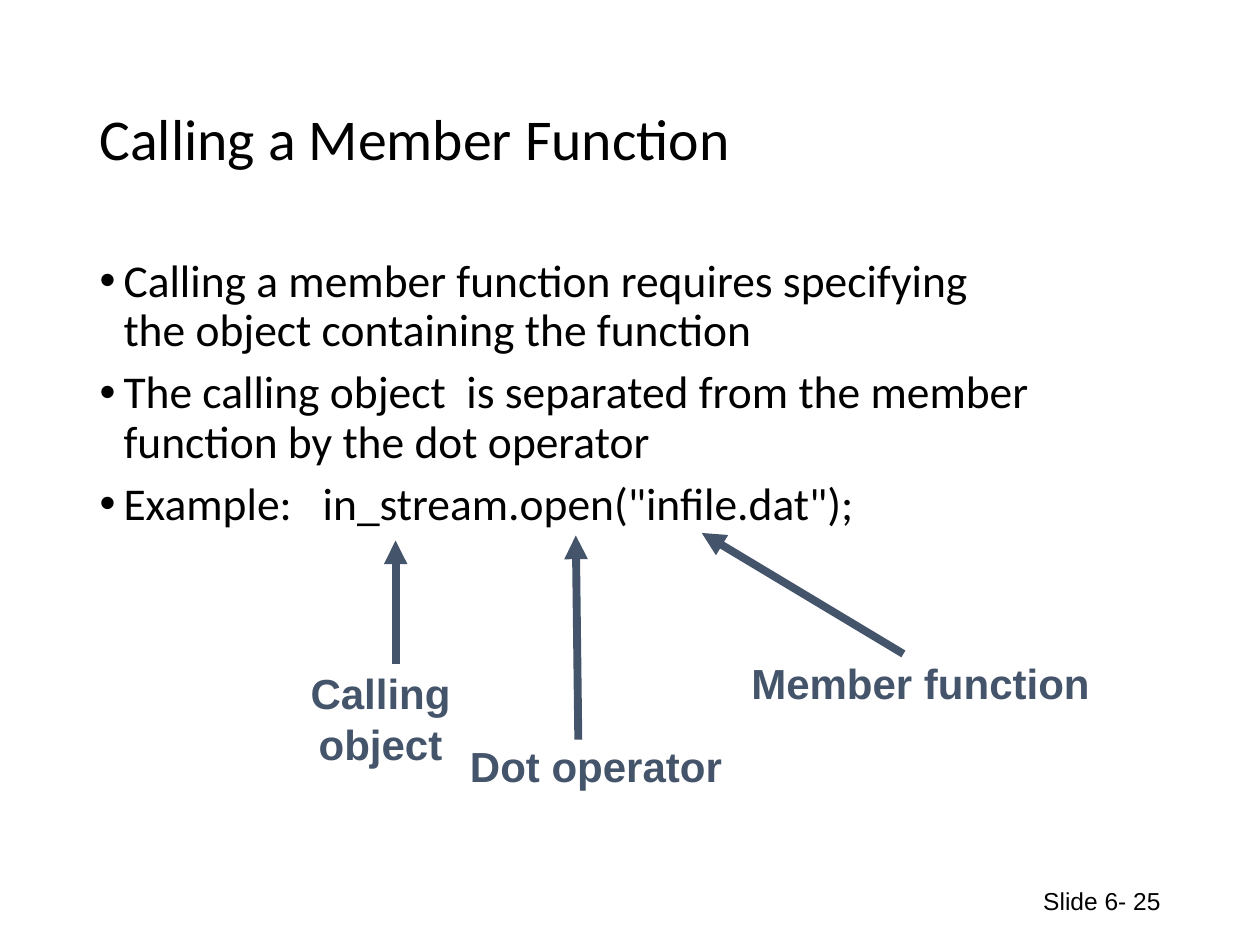
from pptx import Presentation
from pptx.dml.color import RGBColor
from pptx.enum.shapes import MSO_CONNECTOR
from pptx.enum.text import MSO_ANCHOR, MSO_AUTO_SIZE, PP_ALIGN
from pptx.oxml.ns import qn
from pptx.util import Inches, Pt
from lxml import etree

LEFT, CENTER, RIGHT = PP_ALIGN.LEFT, PP_ALIGN.CENTER, PP_ALIGN.RIGHT
MIDDLE, TOP = MSO_ANCHOR.MIDDLE, MSO_ANCHOR.TOP
NO_FIT, GROW = MSO_AUTO_SIZE.NONE, MSO_AUTO_SIZE.SHAPE_TO_FIT_TEXT
STRAIGHT = MSO_CONNECTOR.STRAIGHT

COLORS = {"text": "000000", "accent": "44546A"}
MARGIN, CONTENT_WIDTH = 0.69, 8.62
HANGING = 0.19

POINTS = [
    "Calling a member function requires specifying \vthe object containing the function",
    "The calling object  is separated from the member \vfunction by the dot operator",
    'Example:   in_stream.open("infile.dat");',
]

# label, box (left, top, width, height), arrow start, arrow tip
CALLOUTS = [
    ("Calling object", (1.83, 5.25, 2.38, 0.5), (3.14, 5.27), (3.14, 4.29)),
    ("Dot operator", (3.63, 5.83, 2.2, 0.5), (4.59, 5.87), (4.57, 4.25)),
    ("Member function", (5.86, 5.17, 2.89, 0.5), (7.17, 5.19), (5.57, 4.23)),
]


def inches(values):
    return [Inches(value) for value in values]


def place(shape, area):
    shape.left, shape.top, shape.width, shape.height = inches(area)


def format_text(para, font_name, size, color, align, bold=False):
    para.alignment = align
    for span in para.runs:
        span.font.name = font_name
        span.font.size = Pt(size)
        span.font.bold = bold
        span.font.color.rgb = RGBColor.from_string(COLORS[color])


def add_title(page, text):
    title = page.shapes.title
    place(title, (MARGIN, 0.4, CONTENT_WIDTH, 1.45))
    frame = title.text_frame
    frame.text = text
    frame.auto_size = NO_FIT
    frame.vertical_anchor = MIDDLE
    para = frame.paragraphs[0]
    para.line_spacing = 0.9
    format_text(para, "Calibri", 33, "text", LEFT)


def add_bullets(page, points):
    body = page.placeholders[1]
    place(body, (MARGIN, 2, CONTENT_WIDTH, 2.52))
    frame = body.text_frame
    frame.text = "\n".join(points)
    frame.auto_size = NO_FIT
    frame.vertical_anchor = TOP
    for para in frame.paragraphs:
        para.line_spacing = 0.9
        para.space_before = Pt(7.5)
        properties = para._p.get_or_add_pPr()
        properties.set("marL", str(Inches(HANGING)))
        properties.set("indent", str(-Inches(HANGING)))
        format_text(para, "Calibri", 26, "text", LEFT)


def add_arrow(shapes, start, tip):
    arrow = shapes.add_connector(STRAIGHT, *inches(start + tip))
    arrow.line.width = Pt(4.5)
    arrow.line.color.rgb = RGBColor.from_string(COLORS["accent"])
    etree.SubElement(arrow.line._get_or_add_ln(), qn("a:tailEnd"), type="triangle")
    etree.SubElement(arrow._element.spPr, qn("a:effectLst"))


def add_callout(page, label, area, start, tip):
    """Group a bold label with the arrow that points from it to the code."""
    group = page.shapes.add_group_shape()
    box = group.shapes.add_textbox(*inches(area))
    frame = box.text_frame
    frame.text = label
    frame.word_wrap = False
    frame.auto_size = GROW
    para = frame.paragraphs[0]
    para._p.get_or_add_pPr().get_or_add_spcBef().set_spcPct(0.2)
    format_text(para, "Arial", 24, "accent", CENTER, bold=True)
    add_arrow(group.shapes, start, tip)


def add_slide_number(page, text):
    width = 2.25
    left = MARGIN + CONTENT_WIDTH - width
    box = page.shapes.add_textbox(*inches((left, 6.95, width, 0.4)))
    frame = box.text_frame
    frame.text = text
    frame.word_wrap = True
    frame.vertical_anchor = MIDDLE
    format_text(frame.paragraphs[0], "Arial", 14, "text", RIGHT)


def main():
    deck = Presentation()
    deck.slide_width, deck.slide_height = inches((10, 7.5))
    page = deck.slides.add_slide(deck.slide_layouts[1])
    add_title(page, "Calling a Member Function")
    add_bullets(page, POINTS)
    for callout in CALLOUTS:
        add_callout(page, *callout)
    add_slide_number(page, "Slide 6- 25")
    deck.save("out.pptx")


if __name__ == "__main__":
    main()
